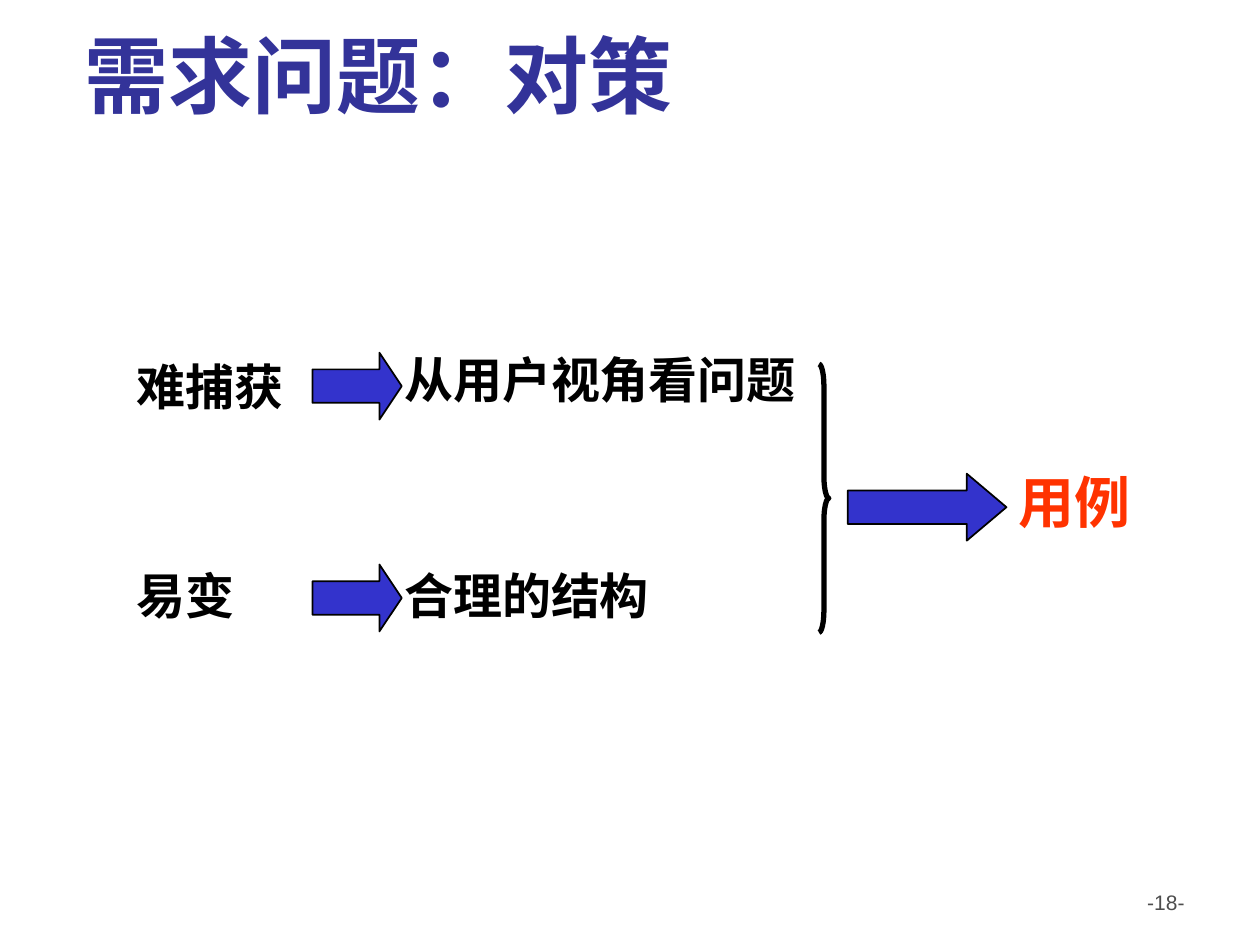
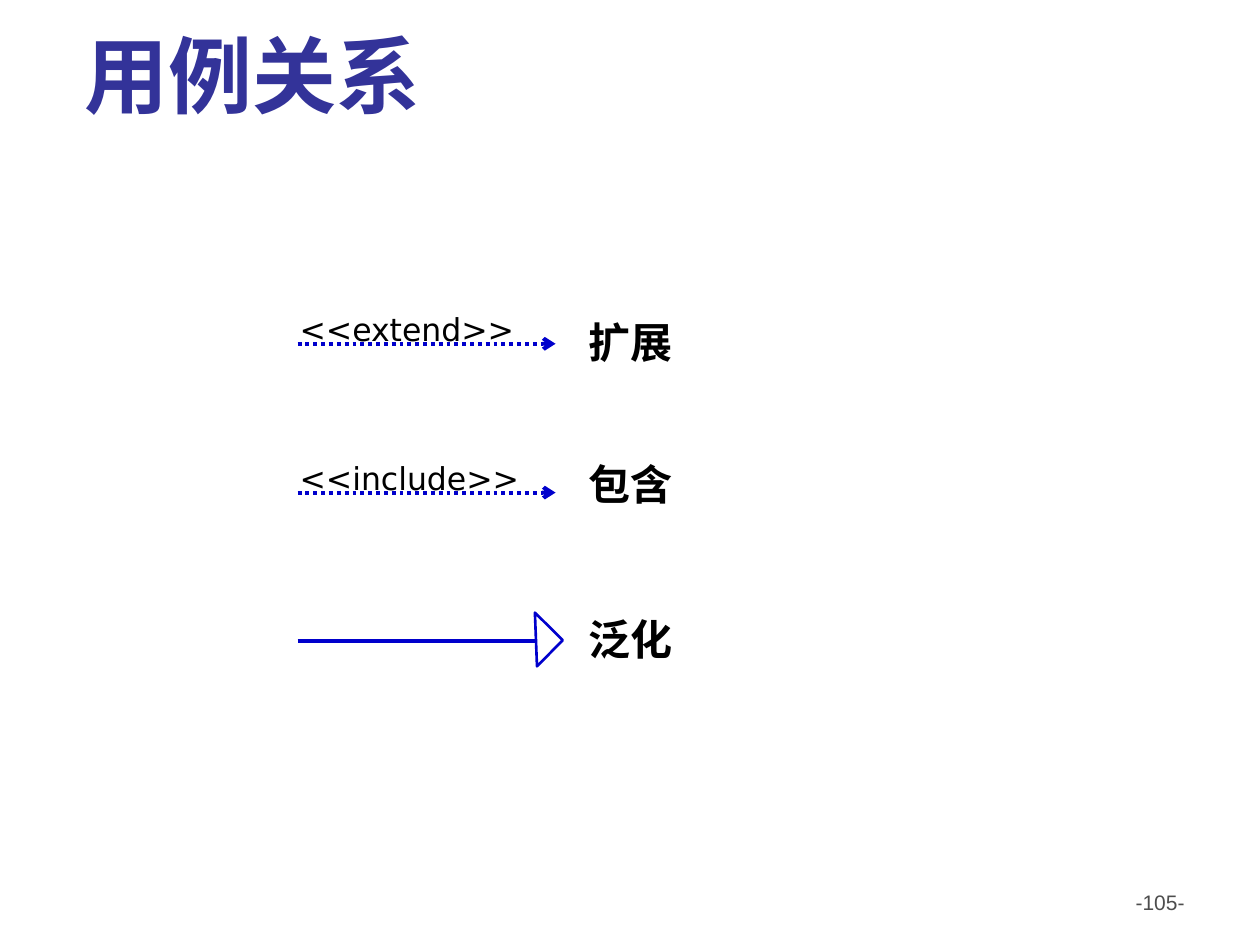
from lxml.etree import SubElement
from pptx import Presentation
from pptx.dml.color import RGBColor
from pptx.enum.dml import MSO_LINE
from pptx.enum.shapes import MSO_CONNECTOR, MSO_SHAPE
from pptx.enum.text import MSO_ANCHOR, MSO_AUTO_SIZE, PP_ALIGN
from pptx.oxml.ns import qn
from pptx.util import Cm, Pt

NAVY = RGBColor(0x33, 0x33, 0x99)
BLUE = RGBColor(0x33, 0x33, 0xCC)
LINK = RGBColor(0x00, 0x00, 0xCC)
RED = RGBColor(0xFF, 0x33, 0x00)
GREY = RGBColor(0x4D, 0x4D, 0x4D)
BLACK = RGBColor(0, 0, 0)

# Content: problem, its top, width; remedy, its top, width; arrow top (cm)
REMEDIES = [
    ("难捕获", 7.06, 3.81, "从用户视角看问题", 6.93, 8.79, 7.11),
    ("易变", 11.28, 4.75, "合理的结构", 11.28, 9.27, 11.38),
]
RESULT = "用例"
# Content: stereotype on the line, name of the relation, name top, width (cm)
RELATIONS = [
    ("<<extend>>", "扩展", 6.25, 5.79),
    ("<<include>>", "包含", 9.12, 5.79),
    ("", "泛化", 12.24, 7.49),
]
LINE_TOP, LINE_STEP = 6.93, 3


def style(para, face, size, color, bold=False):
    font = para.font
    font.name, font.size, font.bold = face, Pt(size), bold
    font.color.rgb = color


def write(slide, text, box, face, size, color=BLACK, bold=True, grow=True):
    label = slide.shapes.add_textbox(*map(Cm, box))
    frame = label.text_frame
    frame.word_wrap = True
    para = frame.paragraphs[0]
    para.text = text
    style(para, face, size, color, bold)
    if grow:
        frame.auto_size = MSO_AUTO_SIZE.SHAPE_TO_FIT_TEXT
        para.space_before = Pt(size * 0.625)
    return para


def start(deck, title, page):
    """Add a slide with the shared title and page number."""
    slide = deck.slides.add_slide(deck.slide_layouts[5])
    head = slide.shapes.title
    head.left, head.top, head.width, head.height = map(Cm, (1.45, 0.71, 22.05, 1.8))
    frame = head.text_frame
    frame.text = title
    frame.auto_size = MSO_AUTO_SIZE.NONE
    frame.vertical_anchor = MSO_ANCHOR.BOTTOM
    frame.margin_top = frame.margin_bottom = 0
    para = frame.paragraphs[0]
    para.alignment = PP_ALIGN.LEFT
    style(para, "Cabin", 48, NAVY, True)
    foot = write(slide, f"-{page}-", (18.21, 17.81, 5.92, 1.32),
                 "Arial", 12, GREY, bold=False, grow=False)
    foot.alignment = PP_ALIGN.RIGHT
    return slide


def draw(slide, kind, box, adjust, line, weight, fill=None):
    shape = slide.shapes.add_shape(kind, *map(Cm, box))
    shape.shadow.inherit = False
    for i, value in enumerate(adjust):
        shape.adjustments[i] = value
    shape.line.color.rgb = line
    shape.line.width = Pt(weight)
    if fill is None:
        shape.fill.background()
    else:
        shape.fill.solid()
        shape.fill.fore_color.rgb = fill
    return shape


def block(slide, left, top, width, tip):
    draw(slide, MSO_SHAPE.RIGHT_ARROW, (left, top, width, 1.35),
         (0.5, tip), BLACK, 1, BLUE)


def link(slide, left, right, top, dashed):
    line = slide.shapes.add_connector(
        MSO_CONNECTOR.STRAIGHT, Cm(left), Cm(top), Cm(right), Cm(top))
    line.line.color.rgb = LINK
    line.line.width = Pt(2.25)
    if dashed:
        line.line.dash_style = MSO_LINE.ROUND_DOT
        SubElement(line.line._get_or_add_ln(), qn("a:tailEnd"), type="arrow")
    SubElement(line._element.spPr, qn("a:effectLst"))


def remedies(deck):
    slide = start(deck, "需求问题：对策", 18)
    for issue, top, width, cure, high, span, mid in REMEDIES:
        write(slide, issue, (2.5, top, width, 1.45), "Arial", 28)
        write(slide, cure, (7.9, high, span, 1.45), "Arial", 28)
        block(slide, 6.3, mid, 1.8, 0.334)
    # Both remedies lead to the result
    draw(slide, MSO_SHAPE.RIGHT_BRACE, (16.51, 7.34, 0.2, 5.41),
         (2.25, 0.5), BLACK, 3)
    block(slide, 17.09, 9.55, 3.2, 0.592)
    write(slide, RESULT, (20.29, 9.3, 3.2, 1.63), "Arial", 32, RED)


def relations(deck):
    slide = start(deck, "用例关系", 105)
    for i, (tag, name, top, width) in enumerate(RELATIONS):
        mid = LINE_TOP + i * LINE_STEP
        if tag:
            link(slide, 6, 11.2, mid, True)
            write(slide, tag, (5.79, mid - 0.81, 5, 1.02),
                  "DejaVu Sans", 18, bold=False)
        else:
            # Generalisation: solid line with a hollow triangle
            link(slide, 6, 10.82, mid, False)
            tip = draw(slide, MSO_SHAPE.RIGHT_TRIANGLE,
                       (10.41, mid - 0.41, 0.79, 0.74), (), LINK, 1.5)
            tip.rotation = 224.6
        write(slide, name, (11.61, top, width, 1.27), "DejaVu Sans", 24)


def main():
    deck = Presentation()
    deck.slide_width, deck.slide_height = Cm(25.4), Cm(19.05)
    remedies(deck)
    relations(deck)
    deck.save("out.pptx")


if __name__ == "__main__":
    main()
